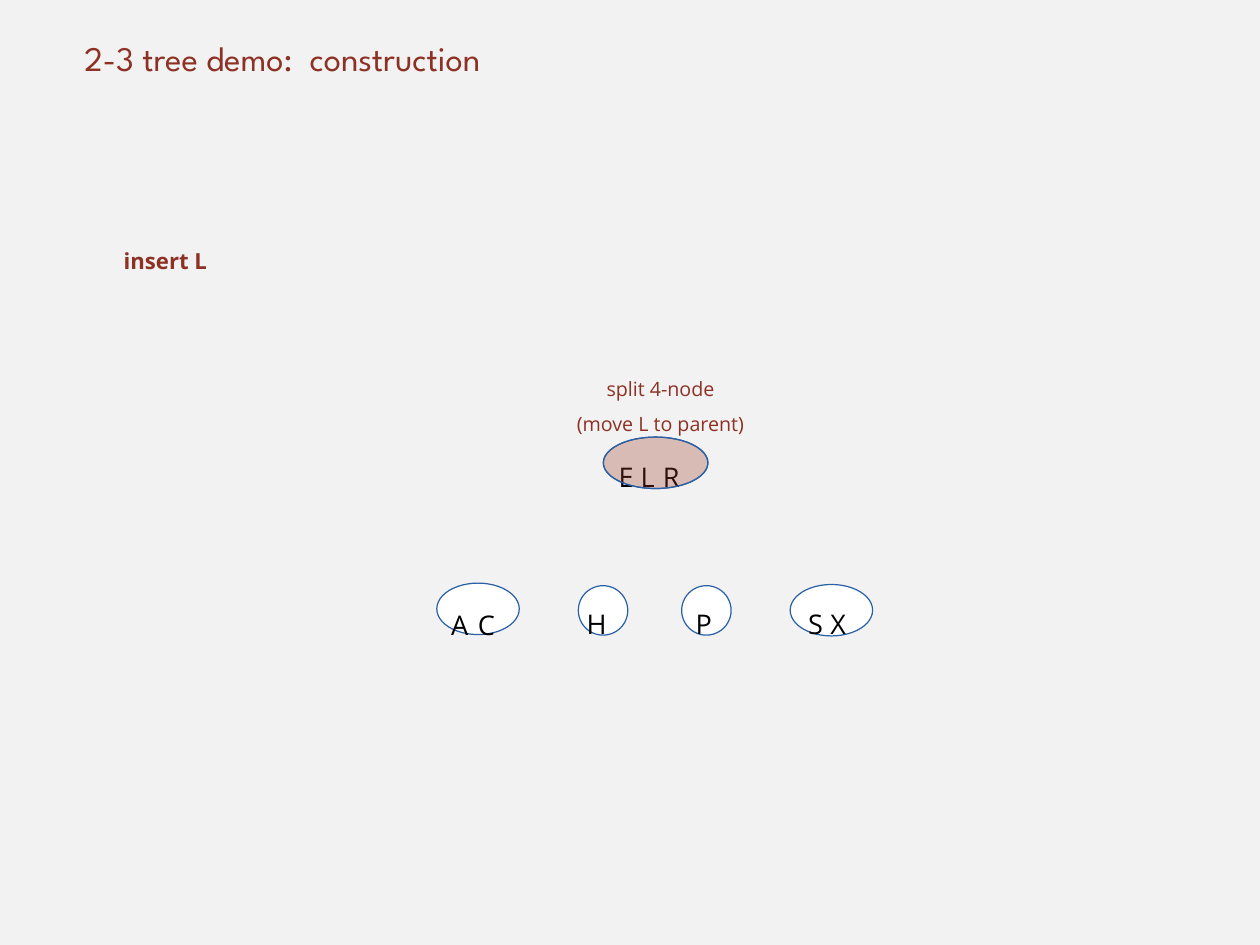
from dataclasses import dataclass

from lxml import etree
from pptx import Presentation
from pptx import util as u
from pptx.dml import color
from pptx.enum import shapes, text
from pptx.oxml import ns


@dataclass(frozen=True)
class Theme:
    background: str = "F2F2F2"
    accent: str = "8D3124"
    node_fill: str = "FFFFFF"
    outline: str = "2A60A6"
    ink: str = "000000"
    heading_font: str = "League Spartan"
    body_font: str = "Open Sans"
    title_size: int = 28
    key_size: int = 22
    action_size: int = 18
    note_size: int = 16
    indent: float = 4.5
    line_width: float = 1


THEME = Theme()
KEY_WIDTHS = {"A": 28.8, "C": 28.8, "E": 25.2, "H": 29.5, "L": 25.2,
              "P": 25.9, "R": 27.4, "S": 25.2, "X": 27.4}
KEY_HEIGHT = 33.8

ROOT = (490.3, 355.2, 85, 41.8)
NODES = [
    (ROOT, "ELR", 498.2, 360.7, 18),
    ((355, 473.9, 67, 41.8), "AC", 362.2, 481, 21.6),
    ((470, 476, 40.2, 40.2), "H", 472.3, 480.2, 0),
    ((554, 476, 40.2, 40.2), "P", 560.9, 480.2, 0),
    ((642.2, 475, 67, 41.8), "SX", 652.3, 480.2, 18),
]


def points(frame):
    return [u.Pt(value) for value in frame]


def rgb(value):
    return color.RGBColor.from_string(value)


def add_oval(page, frame, fill, opacity=100):
    oval = page.shapes.add_shape(shapes.MSO_SHAPE.OVAL, *points(frame))
    oval.shadow.inherit = False
    oval.fill.solid()
    oval.fill.fore_color.rgb = rgb(fill)
    oval.line.color.rgb = rgb(THEME.outline)
    oval.line.width = u.Pt(THEME.line_width)
    if opacity < 100:
        fill_color = oval.fill._xPr.find(ns.qn("a:solidFill"))[0]
        alpha = etree.SubElement(fill_color, ns.qn("a:alpha"))
        alpha.set("val", str(opacity * 1000))


def add_text(page, frame, content, size, ink=THEME.accent, font=THEME.body_font,
             bold=False, align=text.PP_ALIGN.LEFT, spacing=1.5):
    box = page.shapes.add_textbox(*points(frame))
    body = box.text_frame
    body.margin_left = body.margin_right = body.margin_top = body.margin_bottom = 0
    body.word_wrap = False
    body.auto_size = text.MSO_AUTO_SIZE.SHAPE_TO_FIT_TEXT
    body.text = content
    for para in body.paragraphs:
        para._p.get_or_add_pPr().set("marL", str(u.Pt(THEME.indent)))
        para.alignment = align
        para.line_spacing = spacing
        for span in para.runs:
            span.font.name = font
            span.font.size = u.Pt(size)
            span.font.bold = bold
            span.font.color.rgb = rgb(ink)
    return box


def add_title(page, content):
    box = add_text(page, (64, 0, 896, 64), content, THEME.title_size,
                   font=THEME.heading_font, spacing=1.0)
    box.text_frame.auto_size = text.MSO_AUTO_SIZE.NONE
    box.text_frame.word_wrap = True
    box.text_frame.vertical_anchor = text.MSO_ANCHOR.BOTTOM


def add_node(page, frame, keys, left, top, pitch):
    add_oval(page, frame, THEME.node_fill)
    for index, key in enumerate(keys):
        key_frame = (left + index * pitch, top, KEY_WIDTHS[key], KEY_HEIGHT)
        add_text(page, key_frame, key, THEME.key_size, THEME.ink)


def main():
    deck = Presentation()
    deck.slide_width, deck.slide_height = u.Pt(1024), u.Pt(768)
    page = deck.slides.add_slide(deck.slide_layouts[6])
    page.background.fill.solid()
    page.background.fill.fore_color.rgb = rgb(THEME.background)

    add_title(page, "2-3 tree demo:  construction")
    add_text(page, (96, 190, 84, 29), "insert L", THEME.action_size, bold=True)
    add_text(page, (456.5, 296.6, 156, 53.3), "split 4-node\n(move L to parent)",
             THEME.note_size, align=text.PP_ALIGN.CENTER)
    for node in NODES:
        add_node(page, *node)
    add_oval(page, ROOT, THEME.accent, opacity=33)

    deck.save("out.pptx")


if __name__ == "__main__":
    main()
